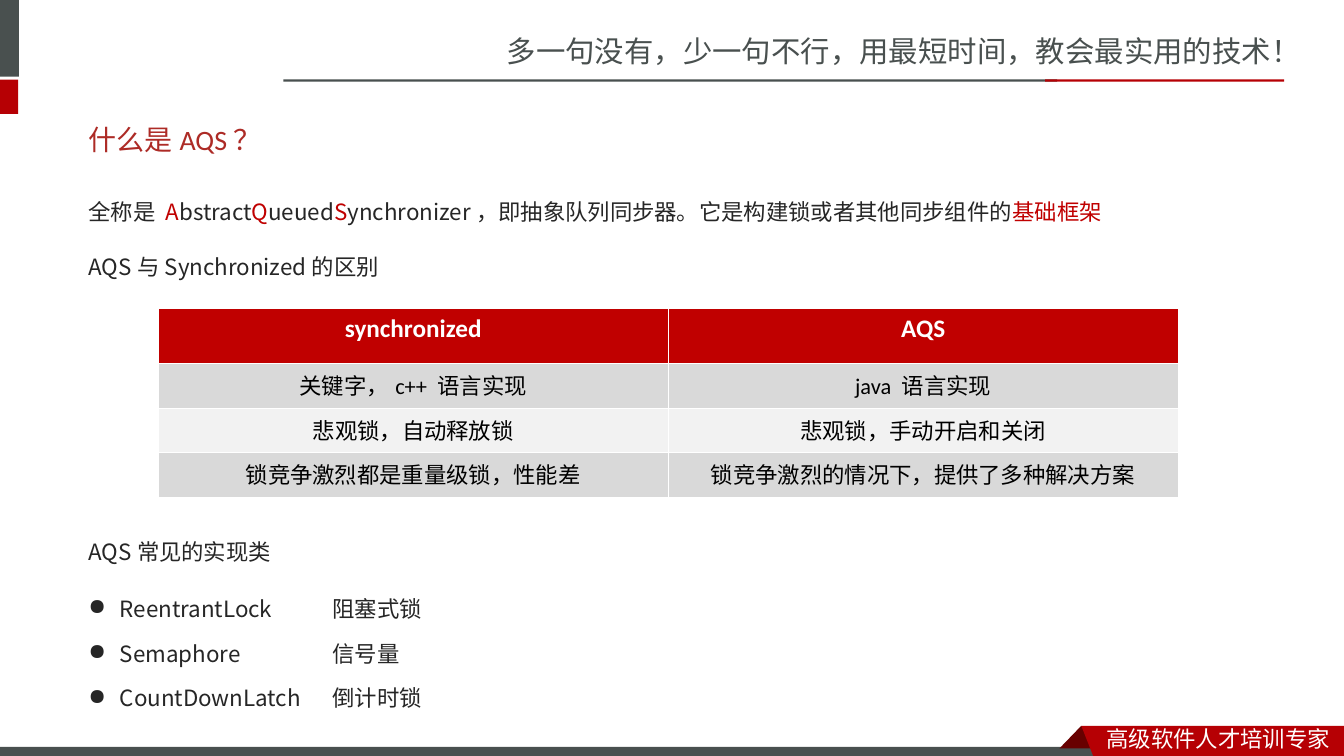
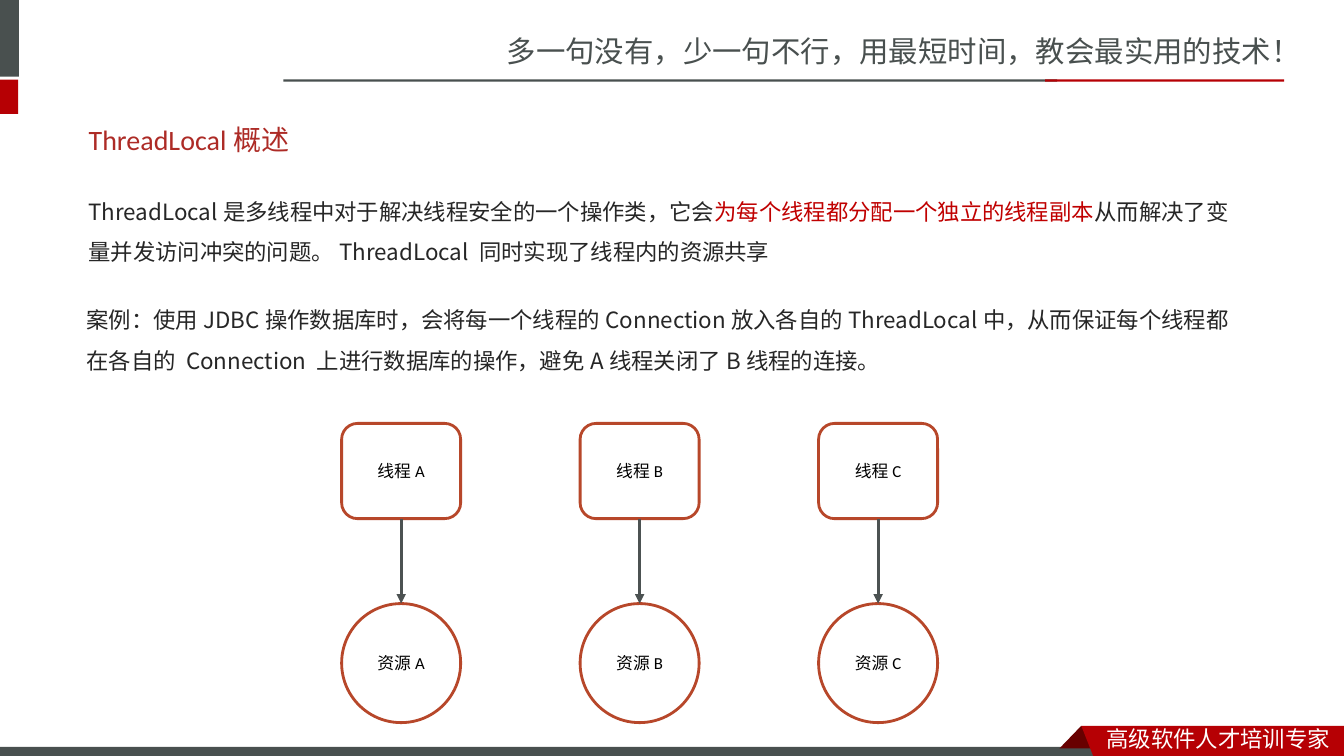
"""Build two slides on AQS and ThreadLocal."""
from dataclasses import dataclass

from lxml import etree
from pptx import Presentation
from pptx.dml.color import RGBColor
from pptx.enum.shapes import MSO_CONNECTOR, MSO_SHAPE
from pptx.enum.text import MSO_ANCHOR, PP_ALIGN
from pptx.oxml.ns import qn
from pptx.util import Cm, Pt

RECTANGLE = MSO_SHAPE.RECTANGLE
ROUNDED = MSO_SHAPE.ROUNDED_RECTANGLE
OVAL = MSO_SHAPE.OVAL
STRAIGHT = MSO_CONNECTOR.STRAIGHT
MIDDLE = MSO_ANCHOR.MIDDLE
LEFT = PP_ALIGN.LEFT
CENTER = PP_ALIGN.CENTER


@dataclass(frozen=True)
class Theme:
    slate: str = "49504F"
    red: str = "B60004"
    fold: str = "680000"
    white: str = "FFFFFF"
    black: str = "000000"
    heading: str = "AD2B26"
    ink: str = "262626"
    accent: str = "C00000"
    row_dark: str = "D9D9D9"
    row_light: str = "F2F2F2"
    outline: str = "B7472A"
    arrow: str = "4C5252"
    latin: str = "Calibri"
    body_font: str = "Noto Sans CJK JP"
    han: str = "Noto Sans CJK SC"
    slogan_size: int = 21
    title_size: int = 20
    header_size: int = 18
    body_size: int = 16
    node_size: int = 12


THEME = Theme()


def style_run(run, size, colour, font, bold=False):
    run.font.size = Pt(size)
    run.font.color.rgb = RGBColor.from_string(colour)
    run.font.name = font
    run.font.bold = bold
    east_asian = THEME.han if font == THEME.latin else font
    etree.SubElement(run.font._element, qn("a:ea"), typeface=east_asian)


def add_passage(slide, left, top, width, height, lines, bulleted=False):
    frame = slide.shapes.add_textbox(Cm(left), Cm(top), Cm(width), Cm(height)).text_frame
    frame.word_wrap = True
    for position, line in enumerate(lines):
        paragraph = frame.paragraphs[0] if position == 0 else frame.add_paragraph()
        paragraph.line_spacing = 1.5
        if position:
            paragraph.space_before = Pt(3.2)
        if bulleted:
            properties = paragraph._p.get_or_add_pPr()
            properties.set("marL", str(Cm(0.79)))
            properties.set("indent", str(-Cm(0.79)))
            etree.SubElement(properties, qn("a:buChar"), char="●")
            stops = etree.SubElement(properties, qn("a:tabLst"))
            etree.SubElement(stops, qn("a:tab"), pos=str(Cm(6.15)), algn="l")
        for index, segment in enumerate(line.split("|")):
            run = paragraph.add_run()
            run.text = segment
            colour = THEME.accent if index % 2 else THEME.ink
            style_run(run, THEME.body_size, colour, THEME.body_font)


deck = Presentation()
deck.slide_width, deck.slide_height = Cm(33.87), Cm(19.05)

bands = [
    (0, 0, 0.48, 1.93, THEME.slate),
    (0, 2.01, 0.46, 0.86, THEME.red),
    (7.14, 2, 19.5, 0.06, THEME.slate),
    (26.34, 2, 6.02, 0.06, THEME.red),
]
footer_bar = (-0.02, 18.82, 27.94, 0.3, THEME.slate)
fold_outline = [(27.25, 18.29), (27.81, 18.86), (26.7, 18.86)]
ribbon_outline = [(27.25, 18.29), (33.87, 18.29), (33.87, 19.05), (27.55, 19.05)]
mottos = [
    ("多一句没有，少一句不行，用最短时间，教会最实用的技术！", 12.52, 0.71, 21.35, 1.2, THEME.slogan_size, THEME.slate),
    ("高级软件人才培训专家", 27.64, 18.16, 6.23, 0.89, THEME.body_size, THEME.white),
]

pages = []
for heading in ("什么是AQS？", "ThreadLocal概述"):
    page = deck.slides.add_slide(deck.slide_layouts[5])
    pages.append(page)

    footer_pieces = []
    for left, top, width, height, colour in bands + [footer_bar]:
        band = page.shapes.add_shape(RECTANGLE, Cm(left), Cm(top), Cm(width), Cm(height))
        band.line.fill.background()
        footer_pieces.append((band, colour))
    for outline, colour in ((fold_outline, THEME.fold), (ribbon_outline, THEME.red)):
        points = [(Cm(x), Cm(y)) for x, y in outline]
        builder = page.shapes.build_freeform(*points[0])
        builder.add_line_segments(points[1:])
        piece = builder.convert_to_shape()
        piece.line.fill.background()
        footer_pieces.append((piece, colour))
    for piece, colour in footer_pieces:
        piece.shadow.inherit = False
        piece.fill.solid()
        piece.fill.fore_color.rgb = RGBColor.from_string(colour)

    for motto, left, top, width, height, size, colour in mottos:
        frame = page.shapes.add_textbox(Cm(left), Cm(top), Cm(width), Cm(height)).text_frame
        frame.word_wrap = True
        frame.text = motto
        style_run(frame.paragraphs[0].runs[0], size, colour, THEME.han)

    title = page.shapes.title
    title.left, title.top, title.width, title.height = Cm(1.98), Cm(2.79), Cm(29.72), Cm(1.45)
    title.text_frame.text = heading
    title.text_frame.vertical_anchor = MIDDLE
    title.text_frame.paragraphs[0].alignment = LEFT
    style_run(title.text_frame.paragraphs[0].runs[0], THEME.title_size, THEME.heading, THEME.latin)

aqs_page, thread_local_page = pages

definition = "全称是 |A|bstract|Q|ueued|S|ynchronizer，即抽象队列同步器。它是构建锁或者其他同步组件的|基础框架"
for line, top in ((definition, 4.52), ("AQS与Synchronized的区别", 5.92), ("AQS常见的实现类", 13.11)):
    add_passage(aqs_page, 1.98, top, 31.4, 1.45, [line])
implementations = ["ReentrantLock\t阻塞式锁", "Semaphore\t信号量", "CountDownLatch\t倒计时锁"]
add_passage(aqs_page, 1.98, 14.53, 25.96, 3.63, implementations, bulleted=True)

comparison = [
    ("synchronized", "AQS"),
    ("关键字，c++ 语言实现", "java 语言实现"),
    ("悲观锁，自动释放锁", "悲观锁，手动开启和关闭"),
    ("锁竞争激烈都是重量级锁，性能差", "锁竞争激烈的情况下，提供了多种解决方案"),
]
table = aqs_page.shapes.add_table(4, 2, Cm(3.99), Cm(7.77), Cm(25.7), Cm(4.76)).table
for row_index, entries in enumerate(comparison):
    is_header = row_index == 0
    table.rows[row_index].height = Cm(1.4 if is_header else 1.12)
    stripe = THEME.row_dark if row_index % 2 else THEME.row_light
    for column_index, entry in enumerate(entries):
        cell = table.cell(row_index, column_index)
        cell.fill.solid()
        cell.fill.fore_color.rgb = RGBColor.from_string(THEME.accent if is_header else stripe)
        cell.text_frame.text = entry
        paragraph = cell.text_frame.paragraphs[0]
        paragraph.alignment = CENTER
        size = THEME.header_size if is_header else THEME.body_size
        colour = THEME.white if is_header else THEME.black
        style_run(paragraph.runs[0], size, colour, THEME.latin, bold=is_header)

overview = (
    "ThreadLocal是多线程中对于解决线程安全的一个操作类，它会|为每个线程都分配一个独立的线程副本|"
    "从而解决了变量并发访问冲突的问题。ThreadLocal 同时实现了线程内的资源共享"
)
jdbc_case = (
    "案例：使用JDBC操作数据库时，会将每一个线程的Connection放入各自的ThreadLocal中，"
    "从而保证每个线程都在各自的 Connection 上进行数据库的操作，避免A线程关闭了B线程的连接。"
)
add_passage(thread_local_page, 1.98, 4.52, 29.72, 2.72, [overview])
add_passage(thread_local_page, 1.93, 7.26, 29.72, 2.72, [jdbc_case])

for column_index, letter in enumerate("ABC"):
    left = 8.61 + column_index * 6.01
    nodes = []
    for kind, label, top, height in ((ROUNDED, "线程", 10.67, 2.4), (OVAL, "资源", 15.21, 3)):
        node = thread_local_page.shapes.add_shape(kind, Cm(left), Cm(top), Cm(3), Cm(height))
        node.shadow.inherit = False
        node.fill.background()
        node.line.color.rgb = RGBColor.from_string(THEME.outline)
        node.line.width = Pt(2)
        node.text_frame.text = label + letter
        node.text_frame.vertical_anchor = MIDDLE
        node.text_frame.paragraphs[0].alignment = CENTER
        style_run(node.text_frame.paragraphs[0].runs[0], THEME.node_size, THEME.black, THEME.latin)
        nodes.append(node)
    thread, resource = nodes
    arrow = thread_local_page.shapes.add_connector(STRAIGHT, 0, 0, 0, 0)
    arrow.begin_connect(thread, 2)
    arrow.end_connect(resource, 0)
    arrow.line.color.rgb = RGBColor.from_string(THEME.arrow)
    arrow.line.width = Pt(2.25)
    properties = arrow._element.spPr
    etree.SubElement(properties.find(qn("a:ln")), qn("a:tailEnd"), type="triangle")
    etree.SubElement(properties, qn("a:effectLst"))

deck.save("out.pptx")
